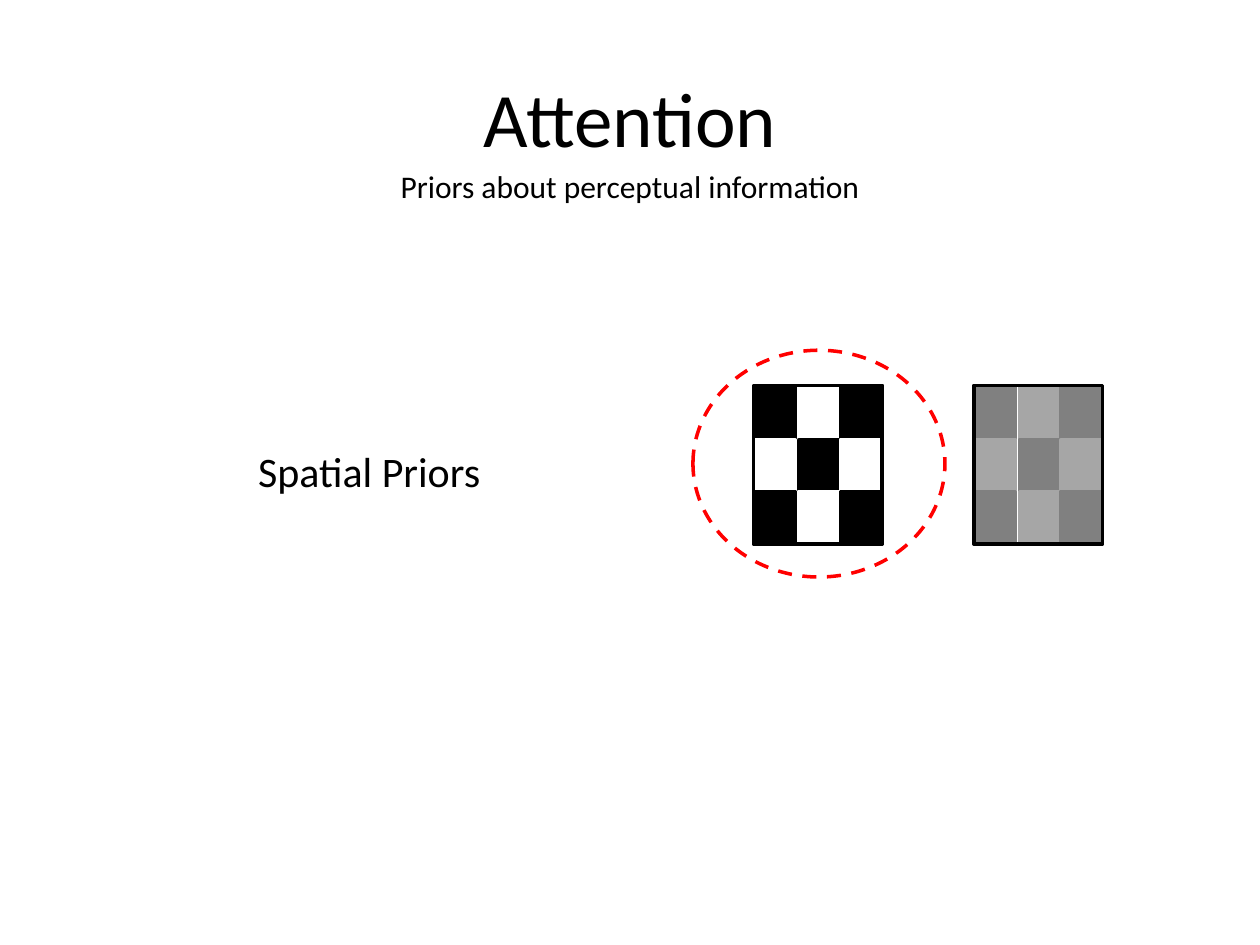
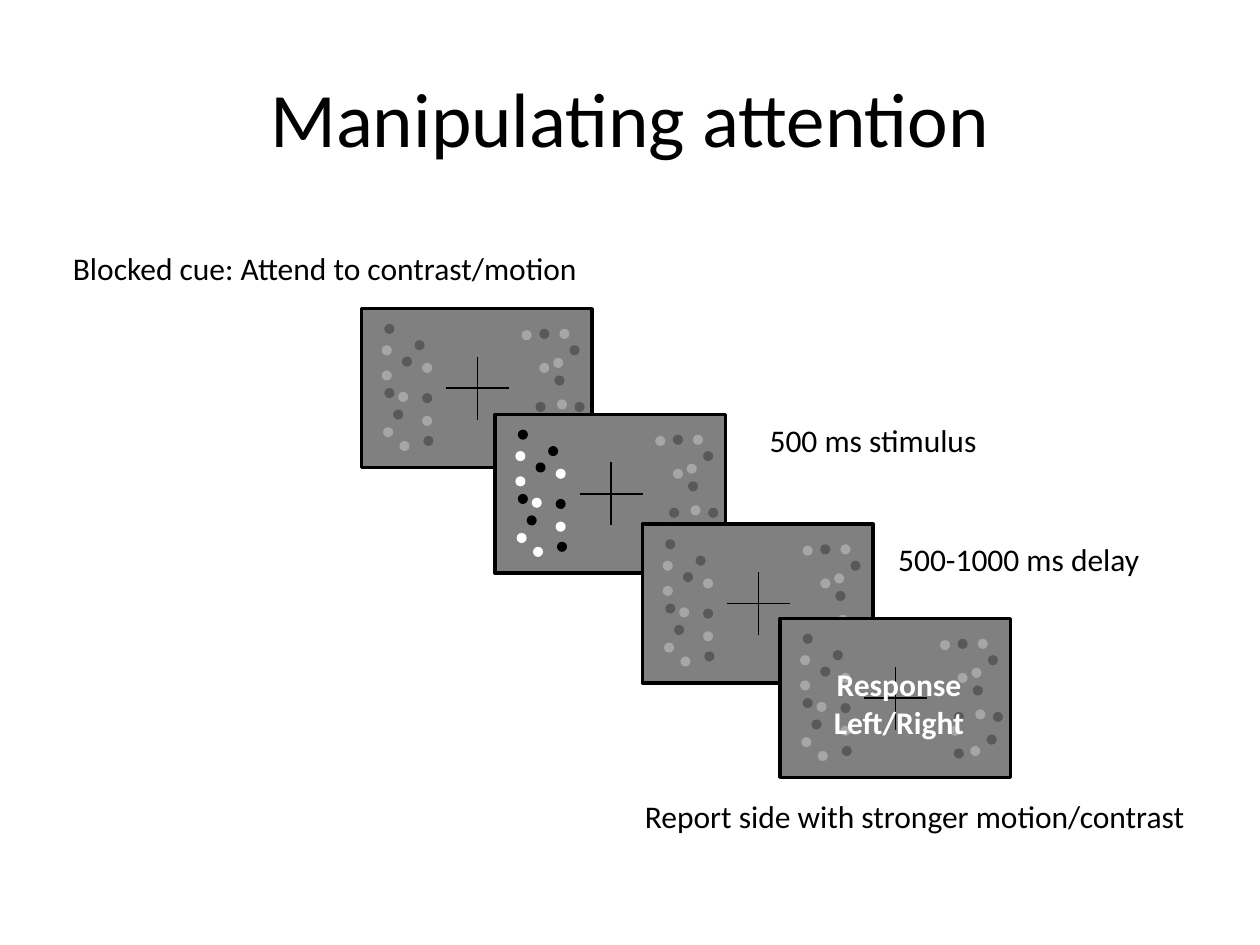
import lxml.etree
import pptx
import pptx.dml.color
import pptx.enum.dml
import pptx.enum.shapes
import pptx.enum.text
import pptx.oxml.ns
import pptx.util

PX = 9144
FONT = "Calibri"
BLACK = pptx.dml.color.RGBColor(0x00, 0x00, 0x00)
WHITE = pptx.dml.color.RGBColor(0xFF, 0xFF, 0xFF)
RED = pptx.dml.color.RGBColor(0xFF, 0x00, 0x00)
GREY = pptx.dml.color.RGBColor(0x80, 0x80, 0x80)
LIGHT_GREY = pptx.dml.color.RGBColor(0xA6, 0xA6, 0xA6)
DARK_GREY = pptx.dml.color.RGBColor(0x59, 0x59, 0x59)

RECTANGLE = pptx.enum.shapes.MSO_SHAPE.RECTANGLE
OVAL = pptx.enum.shapes.MSO_SHAPE.OVAL
LEFT = pptx.enum.text.PP_ALIGN.LEFT
CENTER = pptx.enum.text.PP_ALIGN.CENTER

TITLE_BOX = (50, 30, 900, 125)
CHECKER_COLUMNS = (0, 36, 69)
CHECKER_ROWS = (0, 43, 84)
CHECKER_SIZE = (102, 126)
CELL_SIZE = (33, 42)

FRAME_SIZE = (183, 126)
FRAME_ORIGINS = ((287, 245), (393, 329), (510, 416), (619, 491))
CROSS_CENTER = (92, 63)
CROSS_ARM = 25
DOT = 8
LEFT_DARK = ((18, 12), (32, 38), (42, 25), (18, 63), (48, 67), (25, 80), (49, 101))
LEFT_LIGHT = ((16, 29), (16, 49), (48, 43), (29, 66), (48, 85), (17, 94), (30, 105))
RIGHT_DARK = ((141, 16), (153, 53), (165, 29), (138, 74), (169, 74), (138, 103), (164, 92))
RIGHT_LIGHT = ((127, 17), (141, 43), (157, 16), (155, 72), (152, 39), (135, 85), (151, 101))


def emu(*lengths):
    return [pptx.util.Emu(length * PX) for length in lengths]


def write(paragraph, text, size, color, align, bold=False):
    paragraph.alignment = align
    run = paragraph.add_run()
    run.text = text
    run.font.name = FONT
    run.font.size = pptx.util.Pt(size)
    run.font.bold = bold
    run.font.color.rgb = color


def add_titled_slide(deck, title):
    slide = deck.slides.add_slide(deck.slide_layouts[5])
    heading = slide.shapes.title
    heading.left, heading.top, heading.width, heading.height = emu(*TITLE_BOX)
    heading.text_frame.vertical_anchor = pptx.enum.text.MSO_ANCHOR.MIDDLE
    write(heading.text_frame.paragraphs[0], title, 44, BLACK, CENTER)
    return slide


def add_label(slide, box, lines, size=18, color=BLACK, align=LEFT, bold=False, wrap=False):
    frame = slide.shapes.add_textbox(*emu(*box)).text_frame
    frame.word_wrap = wrap
    frame.auto_size = pptx.enum.text.MSO_AUTO_SIZE.SHAPE_TO_FIT_TEXT
    for index, line in enumerate(lines):
        paragraph = frame.add_paragraph() if index else frame.paragraphs[0]
        write(paragraph, line, size, color, align, bold)


def add_figure(shapes, preset, box, fill=None, line=None):
    figure = shapes.add_shape(preset, *emu(*box))
    figure.shadow.inherit = False
    if fill is None:
        figure.fill.background()
    else:
        figure.fill.solid()
        figure.fill.fore_color.rgb = fill
    if line is None:
        figure.line.fill.background()
    else:
        figure.line.color.rgb = line
        figure.line.width = pptx.util.Pt(2)
    return figure


def add_checkerboard(slide, left, top, corner_color, edge_color):
    board = slide.shapes.add_group_shape().shapes
    for row, y in enumerate(CHECKER_ROWS):
        for column, x in enumerate(CHECKER_COLUMNS):
            color = edge_color if (row + column) % 2 else corner_color
            add_figure(board, RECTANGLE, (left + x, top + y, *CELL_SIZE), color, color)
    add_figure(board, RECTANGLE, (left, top, *CHECKER_SIZE), line=BLACK)


def add_cross(shapes, x, y):
    for dx, dy in ((0, CROSS_ARM), (CROSS_ARM, 0)):
        arm = shapes.add_connector(
            pptx.enum.shapes.MSO_CONNECTOR.STRAIGHT,
            *emu(x - dx, y - dy, x + dx, y + dy))
        arm.line.color.rgb = BLACK
        arm.line.width = pptx.util.Pt(0.75)
        lxml.etree.SubElement(arm._element.spPr, pptx.oxml.ns.qn("a:effectLst"))


def add_stimulus_frame(slide, left, top, cover, left_dark, left_light):
    display = slide.shapes.add_group_shape().shapes
    add_figure(display, RECTANGLE, (left, top, *FRAME_SIZE), GREY, BLACK)
    add_cross(display, left + CROSS_CENTER[0], top + CROSS_CENTER[1])
    dot_fields = (
        (LEFT_DARK, left_dark),
        (RIGHT_LIGHT, LIGHT_GREY),
        (RIGHT_DARK, DARK_GREY),
        (LEFT_LIGHT, left_light),
    )
    for dots, color in dot_fields:
        for x, y in dots:
            covered = cover and left + x > cover[0] and top + y > cover[1] + 2
            if not covered:
                add_figure(display, OVAL, (left + x, top + y, DOT, DOT), color)


def build_attention(deck):
    slide = add_titled_slide(deck, "Attention")
    add_checkerboard(slide, 598, 306, BLACK, WHITE)
    add_checkerboard(slide, 773, 306, GREY, LIGHT_GREY)
    focus = add_figure(slide.shapes, OVAL, (550, 278, 200, 180), line=RED)
    focus.line.dash_style = pptx.enum.dml.MSO_LINE.DASH
    add_label(slide, (192, 349, 202, 50), ["Spatial Priors"], 24, align=CENTER, wrap=True)
    add_label(slide, (229, 128, 542, 40), ["Priors about perceptual information"],
              align=CENTER, wrap=True)


def build_manipulation(deck):
    slide = add_titled_slide(deck, "Manipulating attention")
    covers = (*FRAME_ORIGINS[1:], None)
    for index, (origin, cover) in enumerate(zip(FRAME_ORIGINS, covers)):
        contrast = (BLACK, WHITE) if index == 1 else (DARK_GREY, LIGHT_GREY)
        add_stimulus_frame(slide, *origin, cover, *contrast)
    add_label(slide, (48, 193, 425, 40), ["Blocked cue: Attend to contrast/motion"])
    add_label(slide, (601, 329, 186, 40), ["500 ms stimulus"])
    add_label(slide, (703, 424, 214, 40), ["500-1000 ms delay"])
    add_label(slide, (502, 628, 462, 40), ["Report side with stronger motion/contrast"], wrap=True)
    add_label(slide, (651, 523, 125, 71), ["Response", "Left/Right"],
              color=WHITE, align=CENTER, bold=True)


def main():
    deck = pptx.Presentation()
    deck.slide_width, deck.slide_height = emu(1000, 750)
    build_attention(deck)
    build_manipulation(deck)
    deck.save("out.pptx")


if __name__ == "__main__":
    main()
